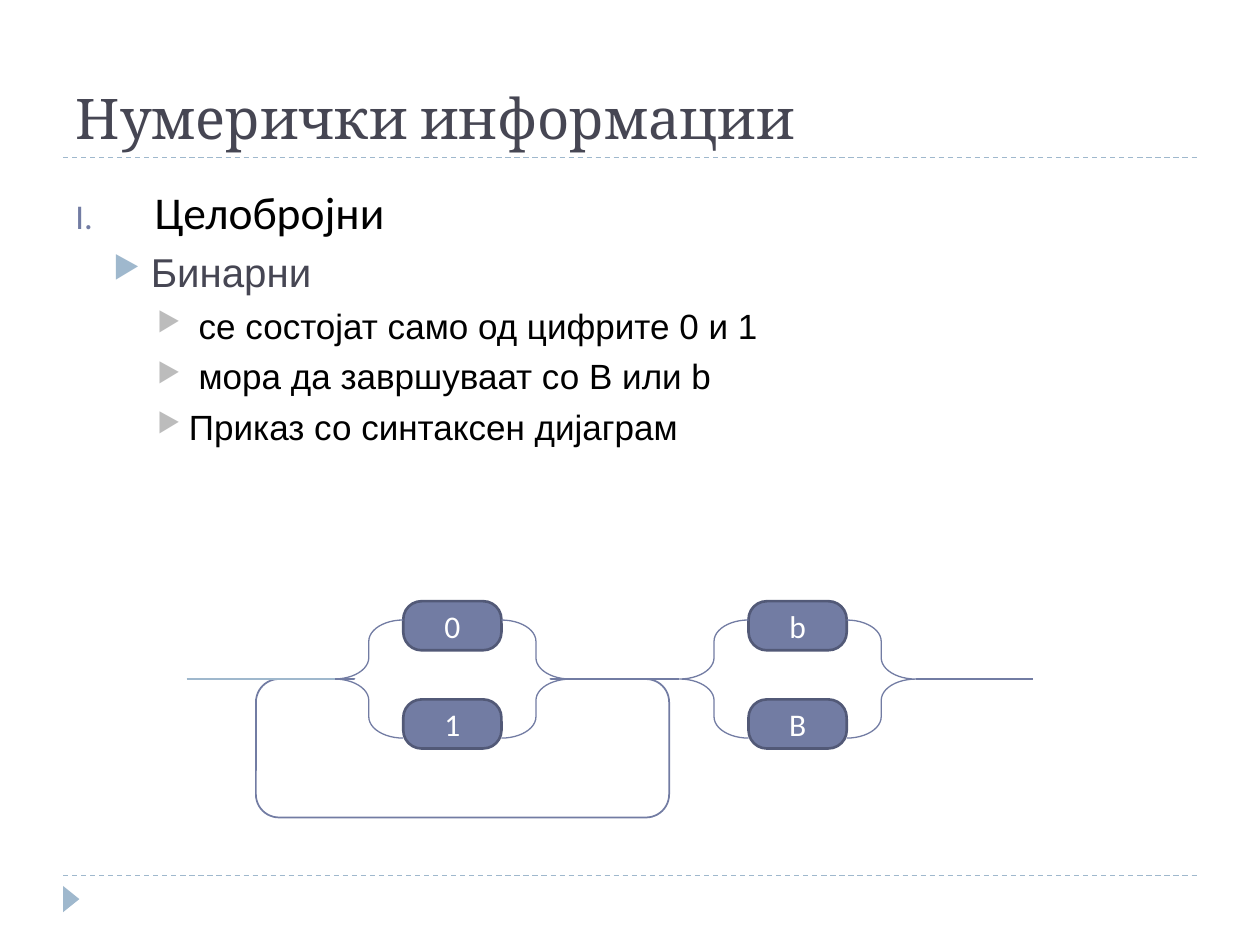
"""Build a slide on binary integers with a syntax diagram of their notation."""
import pptx
import pptx.dml.color
import pptx.enum.dml
import pptx.enum.shapes
import pptx.enum.text
import pptx.oxml
import pptx.oxml.ns
import pptx.util
from pptx.util import Cm

RGBColor = pptx.dml.color.RGBColor
Shape = pptx.enum.shapes.MSO_SHAPE
Anchor = pptx.enum.text.MSO_ANCHOR
SLATE = RGBColor(0x72, 0x7C, 0xA3)
DARK_SLATE = RGBColor(0x52, 0x59, 0x77)
SKY = RGBColor(0x9F, 0xB8, 0xCD)
INK = RGBColor(0x46, 0x46, 0x53)
GREY = RGBColor(0xBC, 0xBC, 0xBC)
BLACK = RGBColor(0, 0, 0)
WHITE = RGBColor(0xFF, 0xFF, 0xFF)
NS = pptx.oxml.ns.nsdecls("a")

deck = pptx.Presentation()
deck.slide_width, deck.slide_height = Cm(25.4), Cm(19.05)
slide = deck.slides.add_slide(deck.slide_layouts[5])


def add_line(left, right, y, color, width=0.75):
    line = slide.shapes.add_connector(
        pptx.enum.shapes.MSO_CONNECTOR.STRAIGHT, Cm(left), Cm(y), Cm(right), Cm(y))
    line.line.color.rgb = color
    line.line.width = pptx.util.Pt(width)
    line._element.spPr.append(pptx.oxml.parse_xml(f"<a:effectLst {NS}/>"))
    return line


def add_figure(kind, left, top, width, height, fill, outline, weight, adjustment=None):
    figure = slide.shapes.add_shape(kind, Cm(left), Cm(top), Cm(width), Cm(height))
    figure.shadow.inherit = False
    if fill is None:
        figure.fill.background()
    else:
        figure.fill.solid()
        figure.fill.fore_color.rgb = fill
    if outline is None:
        figure.line.fill.background()
    else:
        figure.line.color.rgb = outline
        figure.line.width = pptx.util.Pt(weight)
    if adjustment is not None:
        figure.adjustments[0] = adjustment
    return figure


for rule_y in (17.65, 3.18):
    rule = add_line(1.27, 24.13, rule_y, SKY)
    rule.line.dash_style = pptx.enum.dml.MSO_LINE.DASH
corner_mark = add_figure(Shape.ISOSCELES_TRIANGLE, 1.17, 17.96, 0.53, 0.33, SKY, None, 0)
corner_mark.rotation = 90

title = slide.shapes.title
title.left, title.top, title.width, title.height = Cm(1.27), Cm(0.43), Cm(22.86), Cm(2.74)
title.text_frame.text = "Нумерички информации"
title.text_frame.vertical_anchor = Anchor.BOTTOM
heading = title.text_frame.paragraphs[0]
heading.alignment = pptx.enum.text.PP_ALIGN.LEFT
heading.font.name = "Cambria"
heading.font.size = pptx.util.Pt(32)
heading.font.color.rgb = INK

NUMBER = '<a:buAutoNum {} type="romanUcPeriod"/>'.format(NS)
ARROW = '<a:buChar {} char="▶"/>'.format(NS)
LEVELS = [
    ("Calibri", 26, BLACK, 6, 1.6, -1.6, SLATE, NUMBER),
    ("Arial", 23, INK, 5, 1.52, -0.76, SKY, ARROW),
    ("Arial", 20, BLACK, 5, 2.29, -0.64, GREY, ARROW),
]
POINTS = [
    (0, "Целобројни"),
    (1, "Бинарни"),
    (2, " се состојат само од цифрите 0 и 1"),
    (2, " мора да завршуваат со B или b"),
    (2, "Приказ со синтаксен дијаграм"),
]
outline_text = slide.shapes.add_textbox(Cm(1.27), Cm(3.58), Cm(22.86), Cm(13.89)).text_frame
outline_text.word_wrap = True
for index, (level, wording) in enumerate(POINTS):
    font, size, color, gap, margin, indent, bullet_color, bullet = LEVELS[level]
    point = outline_text.add_paragraph() if index else outline_text.paragraphs[0]
    point.text = wording
    point.level = level
    point.space_before = pptx.util.Pt(gap)
    point.font.name = font
    point.font.size = pptx.util.Pt(size)
    point.font.color.rgb = color
    properties = point._p.get_or_add_pPr()
    properties.set("marL", str(Cm(margin)))
    properties.set("indent", str(Cm(indent)))
    bullet_parts = (
        f'<a:buClr {NS}><a:srgbClr val="{bullet_color}"/></a:buClr>',
        f'<a:buSzPct {NS} val="76000"/>',
        bullet,
    )
    default_run = properties.find(pptx.oxml.ns.qn("a:defRPr"))
    for part in bullet_parts:
        default_run.addprevious(pptx.oxml.parse_xml(part))

RAIL_Y = 13.69
PILL_WIDTH, PILL_HEIGHT = 1.98, 0.99
BRACE_WIDTH, BRACE_HEIGHT = 1.39, 2.38

add_figure(Shape.ROUNDED_RECTANGLE, 5.16, RAIL_Y, 8.33, 2.79, WHITE, SLATE, 1, 0.167)
rail_break = add_line(7.14, 11.1, RAIL_Y, WHITE, 6)
for end in ("headEnd", "tailEnd"):
    rail_break.line._get_or_add_ln().append(
        pptx.oxml.parse_xml(f'<a:{end} {NS} type="arrow"/>'))

for pill_left, symbols in ((8.13, "01"), (15.09, "bB")):
    for row, symbol in enumerate(symbols):
        pill = add_figure(Shape.ROUNDED_RECTANGLE, pill_left, 12.12 + 1.98 * row,
                          PILL_WIDTH, PILL_HEIGHT, SLATE, DARK_SLATE, 1.5, 0.372)
        pill.text_frame.text = symbol
        pill.text_frame.word_wrap = False
        pill.text_frame.vertical_anchor = Anchor.MIDDLE
        label = pill.text_frame.paragraphs[0]
        label.alignment = pptx.enum.text.PP_ALIGN.CENTER
        label.font.name = "Calibri"
        label.font.size = pptx.util.Pt(18)
        label.font.color.rgb = WHITE
    for kind, brace_left in ((Shape.LEFT_BRACE, pill_left - BRACE_WIDTH),
                             (Shape.RIGHT_BRACE, pill_left + PILL_WIDTH)):
        add_figure(kind, brace_left, RAIL_Y - BRACE_HEIGHT / 2,
                   BRACE_WIDTH, BRACE_HEIGHT, None, SLATE, 0.75, 0.31)

for start, finish, color in ((3.76, 6.75, SKY), (11.3, 13.69, SLATE), (18.46, 20.83, SLATE)):
    add_line(start, finish, RAIL_Y, color)

deck.save("out.pptx")
